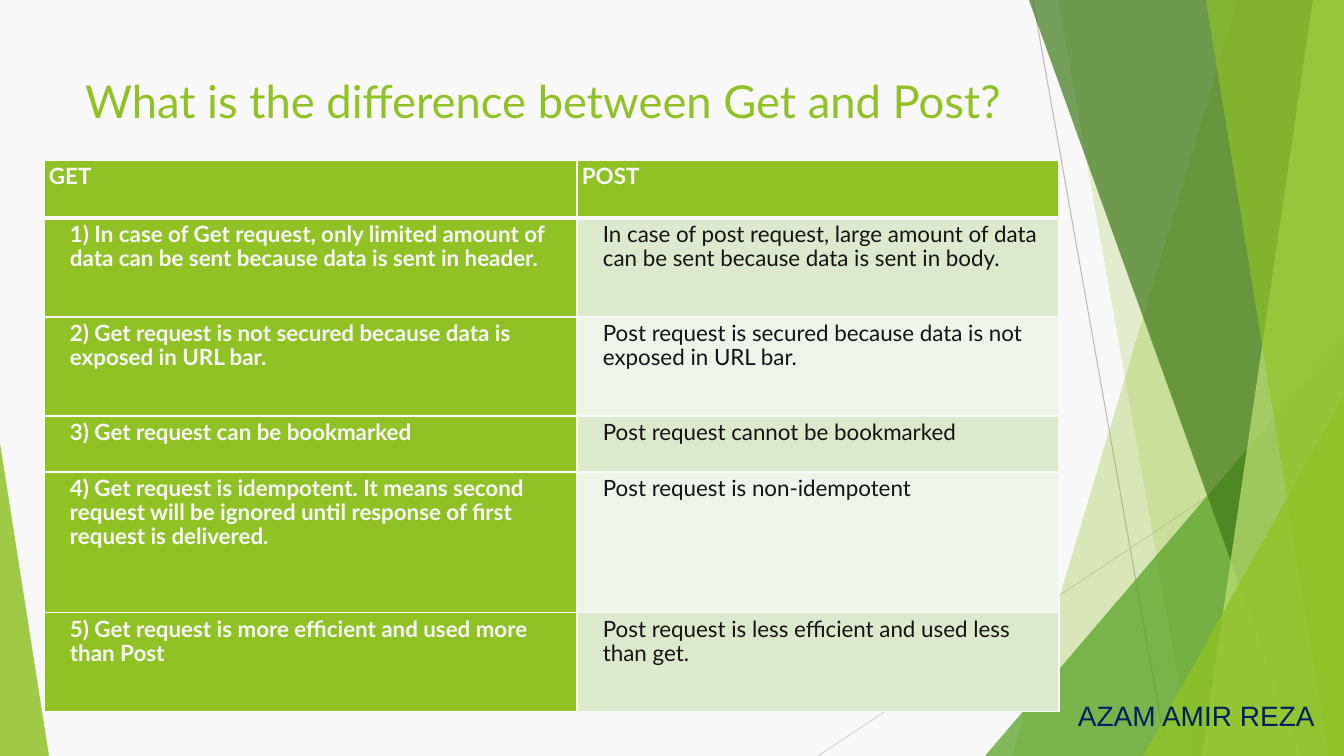
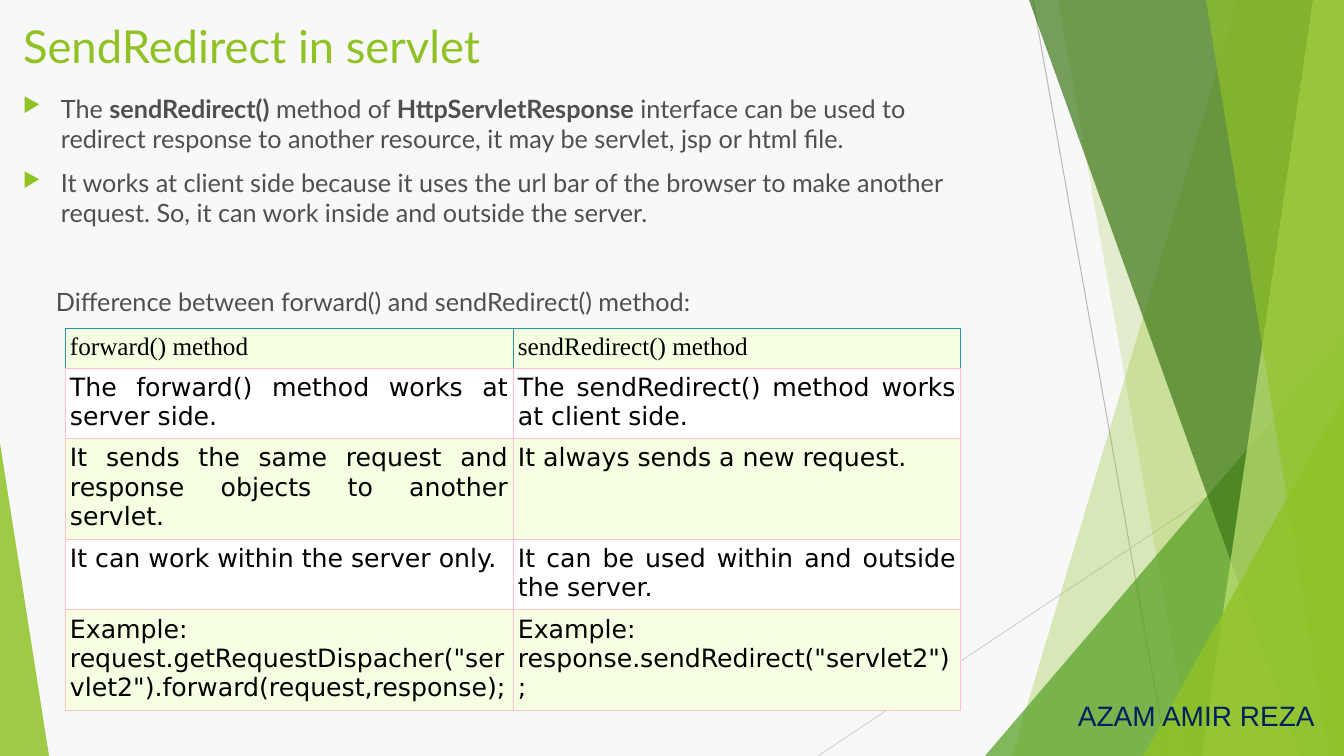
from dataclasses import dataclass

from lxml.etree import SubElement
from pptx import Presentation
from pptx.dml.color import RGBColor
from pptx.enum.shapes import MSO_CONNECTOR, MSO_SHAPE
from pptx.enum.text import MSO_ANCHOR, MSO_AUTO_SIZE, PP_ALIGN
from pptx.oxml.ns import qn
from pptx.util import Emu, Pt

WIDE, HIGH = 1344, 756
UNIT = 12192000 / WIDE


@dataclass(frozen=True)
class Theme:
    back: str = "F8F8F8"
    lime: str = "90C226"
    leaf: str = "54A021"
    moss: str = "3F7819"
    pale: str = "C0E474"
    ink: str = "141414"
    gray: str = "4F4F4F"
    navy: str = "002060"
    black: str = "000000"
    white: str = "FFFFFF"
    mint: str = "DBE9CD"
    mist: str = "EEF4E8"
    cream: str = "F6FFE1"
    pink: str = "FFC0CB"
    teal: str = "2894A2"
    main: str = "Lato"
    sans: str = "DejaVu Sans"
    serif: str = "Times New Roman"
    sign: str = "Arial"
    head: float = 32.4
    name: int = 20
    body: int = 18
    cell: int = 16


T = Theme()

LINES = [
    ((1033, 0), (1167, 756), "BABABA"),
    ((1344, 406), (818, 756), "D3D3D3"),
]
BANDS = [
    ("band", (1238, 1012), T.lime, 30),
    ("band", (1058, 1192), T.lime, 20),
    ("peak", (985, 336, 359, 1), T.leaf, 72),
    ("band", (1029, 1301), T.moss, 70),
    ("band", (1313, 1202), T.pale, 70),
    ("band", (1206, 1329), T.lime, 65),
    ("peak", (1143, 396, 201, 1), T.lime, 80),
    ("peak", (0, 443, 49, 0), T.lime, 85),
]
OWNER = "AZAM AMIR REZA"

VERBS = [
    ("GET", "POST"),
    ("1) In case of Get request, only limited amount of data can be sent because data is sent in header.",
     "In case of post request, large amount of data can be sent because data is sent in body."),
    ("2) Get request is not secured because data is exposed in URL bar.",
     "Post request is secured because data is not exposed in URL bar."),
    ("3) Get request can be bookmarked", "Post request cannot be bookmarked"),
    ("4) Get request is idempotent. It means second request will be ignored until response of first request is delivered.",
     "Post request is non-idempotent"),
    ("5) Get request is more efficient and used more than Post",
     "Post request is less efficient and used less than get."),
]
CALLS = [
    ("forward() method", "sendRedirect() method"),
    ("The forward() method works at server side.",
     "The sendRedirect() method works at client side."),
    ("It sends the same request and response objects to another servlet.",
     "It always sends a new request."),
    ("It can work within the server only.",
     "It can be used within and outside the server."),
    ('Example: request.getRequestDispacher("servlet2").forward(request,response);',
     'Example: response.sendRedirect("servlet2");'),
]
NOTES = [
    [("The ", False), ("sendRedirect()", True), (" method of ", False),
     ("HttpServletResponse", True),
     (" interface can be used to redirect response to another resource, it may be servlet, jsp or html file.", False)],
    [("It works at client side because it uses the url bar of the browser to make another request. So, it can work inside and outside the server.", False)],
]
LEAD = "Difference between forward() and sendRedirect() method:"


def px(size):
    return Emu(round(size * UNIT))


def rgb(color):
    return RGBColor.from_string(color)


def write(para, text, font, size, color, bold=False):
    run = para.add_run()
    run.text = text
    run.font.name, run.font.size, run.font.bold = font, Pt(size), bold
    run.font.color.rgb = rgb(color)


def paint(shape, color, alpha):
    shape.shadow.inherit = False
    shape.fill.solid()
    shape.fill.fore_color.rgb = rgb(color)
    tint = shape.element.spPr.find(".//" + qn("a:srgbClr"))
    SubElement(tint, qn("a:alpha")).set("val", str(alpha * 1000))
    shape.line.fill.background()


def decorate(slide, layout):
    layout.background.fill.solid()
    layout.background.fill.fore_color.rgb = rgb(T.back)
    group = slide.shapes.add_group_shape()
    for start, end, color in LINES:
        line = group.shapes.add_connector(
            MSO_CONNECTOR.STRAIGHT, *map(px, start + end))
        line.line.color.rgb = rgb(color)
        line.line.width = Pt(0.75)
        SubElement(line.element.spPr, qn("a:effectLst"))
    for kind, spot, color, alpha in BANDS:
        if kind == "band":
            top, foot = spot
            path = group.shapes.build_freeform(top, 0, scale=UNIT)
            path.add_line_segments([(WIDE, 0), (WIDE, HIGH), (foot, HIGH)], close=True)
            shape = path.convert_to_shape()
        else:
            left, top, width, apex = spot
            shape = group.shapes.add_shape(
                MSO_SHAPE.ISOSCELES_TRIANGLE,
                *map(px, (left, top, width, HIGH - top)))
            shape.adjustments[0] = apex
        paint(shape, color, alpha)
    for num, tag in enumerate(group.element.iter(qn("p:cNvPr")), 100):
        tag.set("id", str(num))
    layout.shapes.element.insert(2, group.element)


def place(slide, text, box):
    title = slide.shapes.title
    title.left, title.top, title.width, title.height = map(px, box)
    frame = title.text_frame
    frame.word_wrap = True
    frame.auto_size = MSO_AUTO_SIZE.NONE
    frame.vertical_anchor = MSO_ANCHOR.TOP
    para = frame.paragraphs[0]
    para.alignment = PP_ALIGN.LEFT
    write(para, text, T.main, T.head, T.lime)


def add_text(slide, box):
    frame = slide.shapes.add_textbox(*map(px, box)).text_frame
    frame.word_wrap = True
    return frame


def sign(slide):
    frame = add_text(slide, (1068, 695, 260, 40))
    frame.vertical_anchor = MSO_ANCHOR.MIDDLE
    write(frame.paragraphs[0], OWNER, T.sign, T.name, T.navy)


def indent(para, left, first=0):
    props = para._p.get_or_add_pPr()
    props.set("marL", str(px(left)))
    props.set("indent", str(px(first)))
    return props


def bullet(para):
    props = indent(para, 38, -38)
    tint = SubElement(props, qn("a:buClr"))
    SubElement(tint, qn("a:srgbClr")).set("val", T.lime)
    SubElement(props, qn("a:buSzPct")).set("val", "80000")
    SubElement(props, qn("a:buChar")).set("char", "▶")


def add_notes(slide):
    frame = add_text(slide, (13, 88, 948, 240))
    para = frame.paragraphs[0]
    for runs in NOTES:
        para.space_before = Pt(10)
        bullet(para)
        for text, bold in runs:
            write(para, text, T.main, T.body, T.gray, bold)
        para = frame.add_paragraph()
    para.space_before = Pt(42)
    indent(para, 33)
    write(para, LEAD, T.main, T.body, T.gray)


def edge(cell, lines):
    props = cell._tc.get_or_add_tcPr()
    for side, (color, width) in zip("LRTB", lines):
        line = SubElement(props, qn("a:ln" + side))
        line.set("w", str(Pt(width)))
        fill = SubElement(line, qn("a:solidFill"))
        SubElement(fill, qn("a:srgbClr")).set("val", color)


def add_grid(slide, data, spot, cols, rows, style):
    box = (*spot, sum(cols), sum(rows))
    table = slide.shapes.add_table(len(rows), len(cols), *map(px, box)).table
    table.first_row = table.horz_banding = False
    for col, width in zip(table.columns, cols):
        col.width = px(width)
    for row, height in zip(table.rows, rows):
        row.height = px(height)
    for i, texts in enumerate(data):
        for j, text in enumerate(texts):
            cell = table.cell(i, j)
            cell.margin_left = cell.margin_right = px(5)
            cell.margin_top = cell.margin_bottom = px(5)
            fill, lines, look = style(i, j, cell.text_frame.paragraphs[0])
            edge(cell, lines)
            cell.fill.solid()
            cell.fill.fore_color.rgb = rgb(fill)
            write(cell.text_frame.paragraphs[0], text, *look)


def verb_style(i, j, para):
    para.line_spacing, para.space_after = Pt(17.2), Pt(10)
    if i:
        indent(para, 21)
    strong = i == 0 or j == 0
    fill = T.lime if strong else (T.mist, T.mint)[i % 2]
    thin, thick = (T.back, 1), (T.back, 3)
    lines = [thin, thin, thick if i == 1 else thin, thin if i else thick]
    return fill, lines, (T.main, T.cell, T.back if strong else T.ink, strong)


def call_style(i, j, para):
    para.alignment = PP_ALIGN.JUSTIFY if i else PP_ALIGN.LEFT
    base = (T.pink, 0.75)
    side = base if i else (T.teal, 0.75)
    fill = (T.cream, T.white)[i % 2]
    look = (T.sans if i else T.serif, T.body, T.black)
    return fill, [side, side, side, base], look


def main():
    deck = Presentation()
    deck.slide_width, deck.slide_height = px(WIDE), px(HIGH)
    layout = deck.slide_layouts[5]
    first, second = [deck.slides.add_slide(layout) for _ in range(2)]
    decorate(first, layout)

    place(first, "What is the difference between Get and Post?", (75, 68, 948, 93))
    add_grid(first, VERBS, (44, 160), (533, 482),
             (58, 99, 99, 56, 141, 99), verb_style)

    place(second, "SendRedirect in servlet", (13, 13, 948, 75))
    add_notes(second)
    add_grid(second, CALLS, (65, 328), (448, 448),
             (38, 69, 98, 69, 98), call_style)

    for slide in (first, second):
        sign(slide)
    deck.save("out.pptx")


if __name__ == "__main__":
    main()
